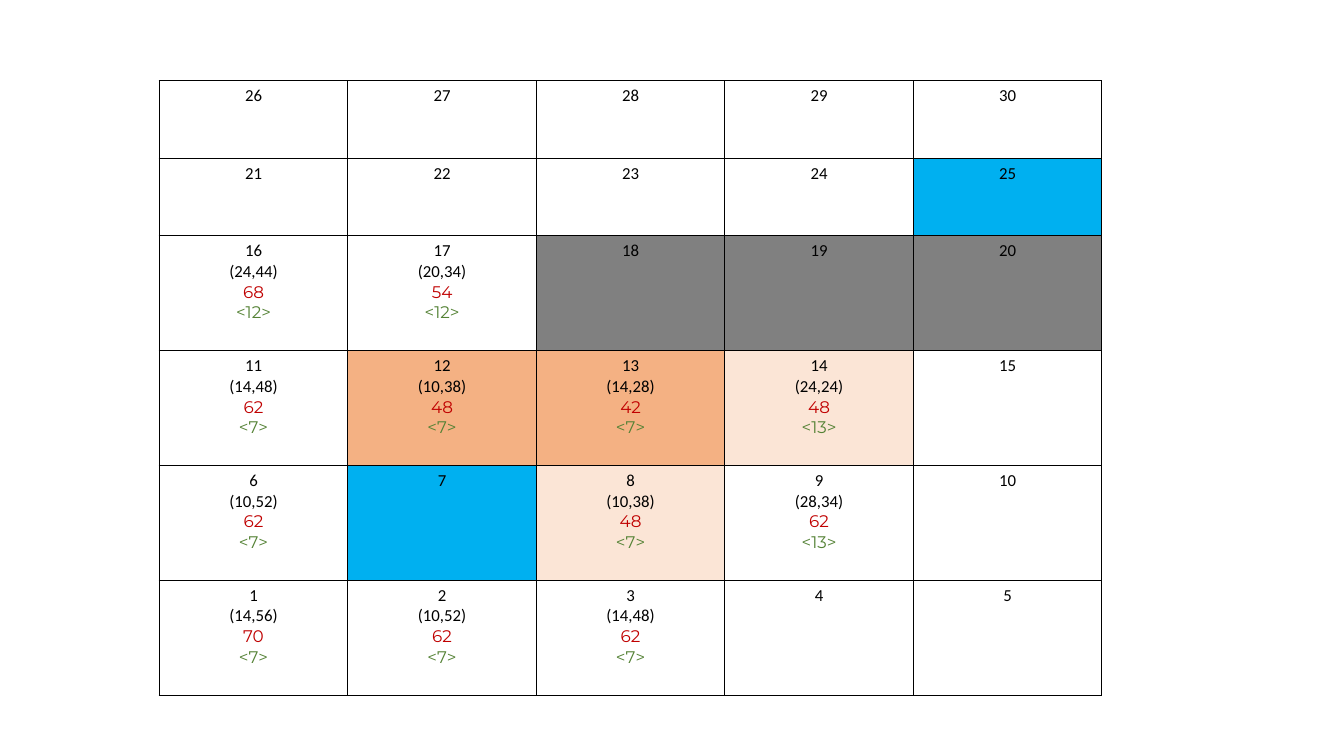
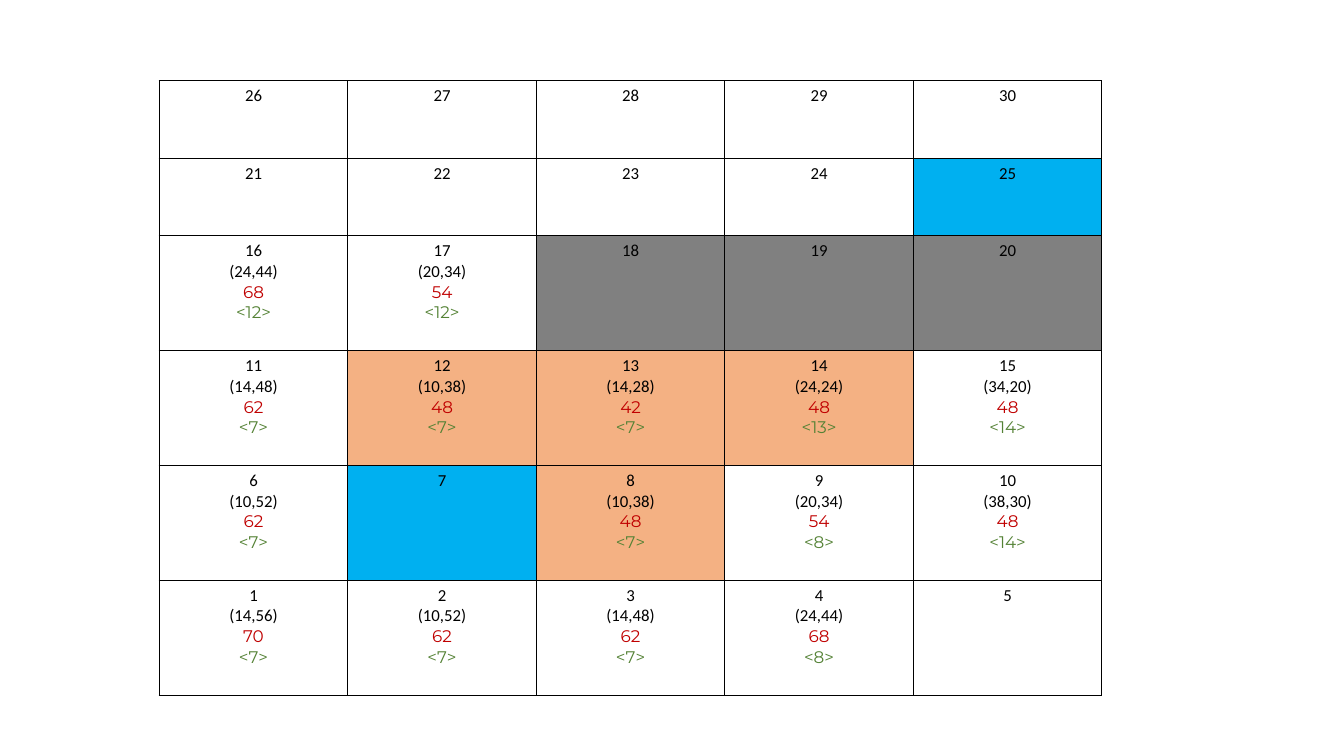
from dataclasses import dataclass
from typing import NamedTuple

from lxml import etree
from pptx import Presentation
from pptx.dml.color import RGBColor
from pptx.enum.text import PP_ALIGN
from pptx.oxml.ns import qn
from pptx.util import Inches, Pt

CENTER = PP_ALIGN.CENTER
BLANK_LAYOUT = 6
COLUMNS = 5
COLUMN_WIDTH = 1.87
ROW_HEIGHTS = (0.77, 0.77, 1.14, 1.14, 1.14, 1.14)
GRID_LEFT, GRID_TOP = 1.58, 0.8
ENDPOINTS = frozenset({7, 25})
WALLS = frozenset({18, 19, 20})


@dataclass(frozen=True)
class Theme:
    text: str = "000000"
    total: str = "C00000"
    parent: str = "548235"
    endpoint: str = "00B0F0"
    wall: str = "808080"
    visited: str = "F4B183"
    candidate: str = "FBE5D6"
    border: str = "000000"
    body_font: str = "Calibri"
    cost_font: str = "Montserrat"
    size: Pt = Pt(12)
    border_width: Pt = Pt(1)


THEME = Theme()


class Cost(NamedTuple):
    travelled: int
    remaining: int
    total: int
    parent: int


@dataclass(frozen=True)
class SearchStep:
    costs: dict[int, Cost]
    visited: frozenset[int]
    candidates: frozenset[int] = frozenset()


class Line(NamedTuple):
    text: str
    font: str = THEME.body_font
    color: str = THEME.text


FIRST_COSTS = {
    1: Cost(14, 56, 70, 7),
    2: Cost(10, 52, 62, 7),
    3: Cost(14, 48, 62, 7),
    6: Cost(10, 52, 62, 7),
    8: Cost(10, 38, 48, 7),
    9: Cost(28, 34, 62, 13),
    11: Cost(14, 48, 62, 7),
    12: Cost(10, 38, 48, 7),
    13: Cost(14, 28, 42, 7),
    14: Cost(24, 24, 48, 13),
    16: Cost(24, 44, 68, 12),
    17: Cost(20, 34, 54, 12),
}
UPDATED_COSTS = {
    4: Cost(24, 44, 68, 8),
    9: Cost(20, 34, 54, 8),
    10: Cost(38, 30, 48, 14),
    15: Cost(34, 20, 48, 14),
}
STEPS = (
    SearchStep(FIRST_COSTS, frozenset({12, 13}), frozenset({8, 14})),
    SearchStep(FIRST_COSTS | UPDATED_COSTS, frozenset({8, 12, 13, 14})),
)


def square_number(row: int, column: int) -> int:
    """Squares count from the bottom row upwards, left to right."""
    return (len(ROW_HEIGHTS) - 1 - row) * COLUMNS + column + 1


def square_color(number: int, step: SearchStep) -> str | None:
    groups = (
        (ENDPOINTS, THEME.endpoint),
        (WALLS, THEME.wall),
        (step.visited, THEME.visited),
        (step.candidates, THEME.candidate),
    )
    return next((color for squares, color in groups if number in squares), None)


def square_lines(number: int, cost: Cost | None) -> list[Line]:
    lines = [Line(str(number))]
    if cost:
        lines += [
            Line(f"({cost.travelled},{cost.remaining})"),
            Line(str(cost.total), THEME.cost_font, THEME.total),
            Line(f"<{cost.parent}>", THEME.cost_font, THEME.parent),
        ]
    return lines


def add_borders(cell) -> None:
    properties = cell._tc.get_or_add_tcPr()
    for side in ("a:lnL", "a:lnR", "a:lnT", "a:lnB"):
        border = etree.SubElement(properties, qn(side), w=str(int(THEME.border_width)))
        fill = etree.SubElement(border, qn("a:solidFill"))
        etree.SubElement(fill, qn("a:srgbClr"), val=THEME.border)


def fill_square(cell, lines: list[Line], color: str | None) -> None:
    add_borders(cell)
    if color:
        cell.fill.solid()
        cell.fill.fore_color.rgb = RGBColor.from_string(color)
    else:
        cell.fill.background()
    cell.text_frame.text = "\n".join(line.text for line in lines)
    for paragraph, line in zip(cell.text_frame.paragraphs, lines):
        paragraph.alignment = CENTER
        font = paragraph.runs[0].font
        font.name = line.font
        font.size = THEME.size
        font.bold = False
        font.color.rgb = RGBColor.from_string(line.color)


def add_grid(slide, step: SearchStep) -> None:
    grid = slide.shapes.add_table(
        len(ROW_HEIGHTS), COLUMNS, Inches(GRID_LEFT), Inches(GRID_TOP),
        Inches(COLUMNS * COLUMN_WIDTH), Inches(sum(ROW_HEIGHTS)),
    ).table
    grid.first_row = False
    grid.horz_banding = False
    for column in grid.columns:
        column.width = Inches(COLUMN_WIDTH)
    for row, height in enumerate(ROW_HEIGHTS):
        grid.rows[row].height = Inches(height)
        for column in range(COLUMNS):
            number = square_number(row, column)
            lines = square_lines(number, step.costs.get(number))
            fill_square(grid.cell(row, column), lines, square_color(number, step))


def main() -> None:
    deck = Presentation()
    deck.slide_width, deck.slide_height = Inches(13.33), Inches(7.5)
    for step in STEPS:
        add_grid(deck.slides.add_slide(deck.slide_layouts[BLANK_LAYOUT]), step)
    deck.save("out.pptx")


if __name__ == "__main__":
    main()
